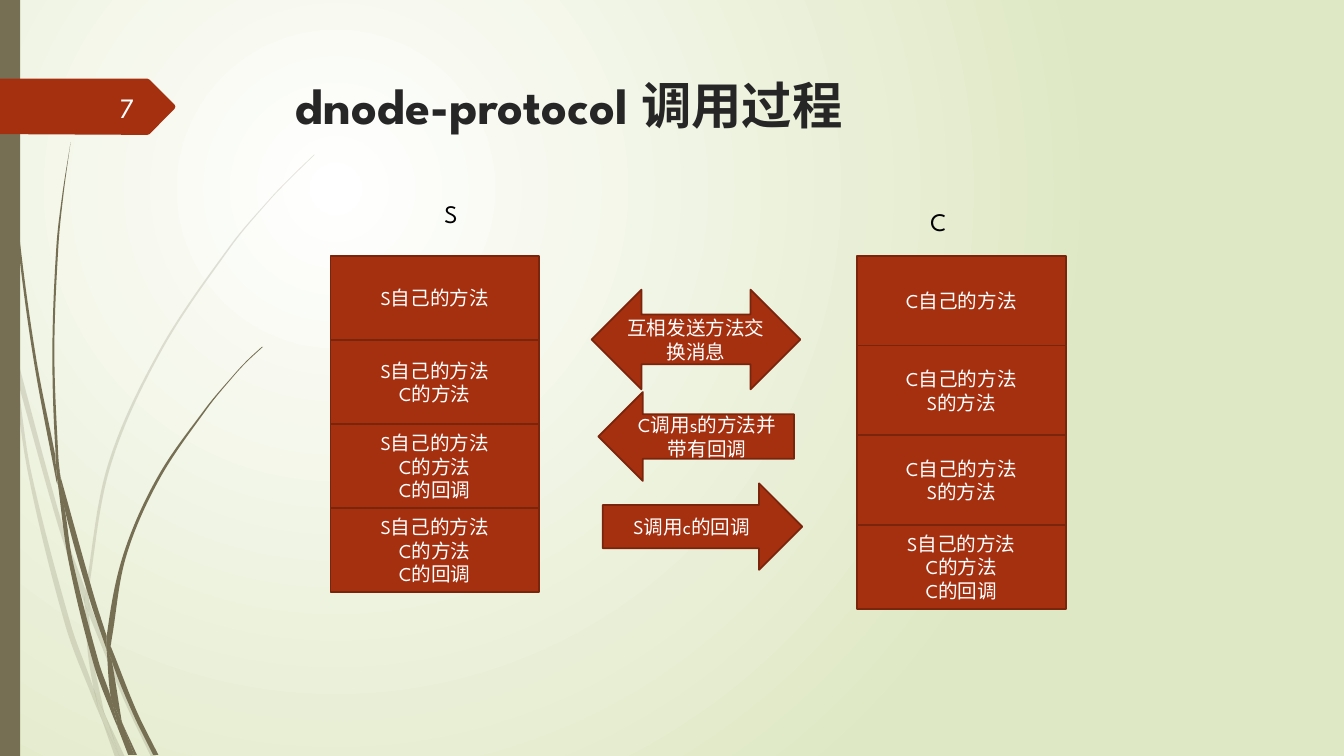
from math import dist

from pptx import Presentation
from pptx.dml.color import RGBColor
from pptx.enum.shapes import MSO_SHAPE as Preset
from pptx.enum.text import MSO_ANCHOR as Anchor, MSO_AUTO_SIZE as AutoSize, PP_ALIGN as Align
from pptx.oxml import parse_xml
from pptx.oxml.ns import nsdecls, qn
from pptx.util import Cm, Pt

FONT = "League Spartan"
RED = RGBColor(0xA5, 0x30, 0x10)
DARK_RED = RGBColor(0x7A, 0x24, 0x0C)
OLIVE = RGBColor(0x76, 0x6F, 0x54)
PALE_GREEN = RGBColor(0xDF, 0xE8, 0xC4)
WHITE = RGBColor(0xFF, 0xFF, 0xFF)
BLACK = RGBColor(0, 0, 0)
CHARCOAL = RGBColor(0x26, 0x26, 0x26)

FAINT_BLADES = [
    ([(.28, 8.89), (.23, 8.18), (0, 7.16)], [(0, 7.59), (.25, 8.74), (.28, 8.89)]),
    ([(2.16, 14.88), (1.57, 13.21), (.36, 8.76)], [(.43, 9.55), (1.47, 13.26), (2.13, 15.21)]),
    ([(2.24, 15.49), (3.12, 17.63), (3.81, 19.08)],
     [(3.94, 19.08), (3.23, 17.58), (2.34, 15.42), (2.24, 15.14)]),
    ([(2.67, 18.06), (3.02, 19.08)], [(3.15, 19.08), (2.67, 18.06)]),
    ([(.28, 8.89), (.71, 11.94), (1.65, 15.77), (2.34, 17.6), (2.57, 18.14)],
     [(2.51, 17.96), (2.36, 17.35), (1.78, 15.72), (.79, 11.91), (.43, 9.55), (.28, 8.89)]),
    ([(2.13, 15.21), (2.21, 16.41), (2.36, 17.35), (2.44, 17.58), (2.67, 18.06)],
     [(2.62, 17.93), (2.31, 16.41), (2.24, 15.49), (2.13, 15.21)]),
    ([(7.92, 3.89), (7.34, 4.45), (6.81, 5), (5.79, 6.2), (4.01, 8.84), (2.72, 11.71),
      (2.16, 14.83), (2.16, 14.88)],
     [(2.24, 15.14), (2.24, 14.83), (2.79, 11.73), (4.06, 8.86), (5.82, 6.22), (6.81, 5.03),
      (7.37, 4.45), (7.92, 3.91)]),
    ([(2.57, 18.14), (2.9, 19.08)], [(3.02, 19.08), (2.57, 18.14)]),
    ([(2.16, 14.88), (2.13, 15.21), (2.24, 15.44)], [(2.24, 15.5), (2.24, 15.14), (2.16, 14.88)]),
    ([(2.36, 17.35), (2.51, 17.96), (2.57, 18.14), (3.02, 19.08)],
     [(3.02, 19.08), (2.67, 18.06), (2.44, 17.58), (2.36, 17.35)]),
]
SOLID_BLADES = [
    ([(.08, 0), (.1, 1.22), (.18, 2.79), (.43, 5.92), (.84, 9.02), (1.42, 12.12), (1.45, 12.22)],
     [(1.4, 11.61), (1.4, 11.51), (.91, 9.02), (.48, 5.89), (.2, 2.77), (.13, 1.22), (.1, 0)]),
    ([(1.52, 11.99), (1.63, 12.83), (2.24, 15.04), (2.69, 16.38)],
     [(2.69, 16.03), (2.36, 14.99), (1.52, 11.99)]),
    ([(2.79, 16.28), (2.82, 16.66), (3.35, 17.98), (3.86, 19.02)],
     [(3.99, 19.02), (3.45, 17.93), (2.87, 16.48), (2.79, 16.28)]),
    ([(1.45, 12.12), (1.73, 14.15), (2.36, 16.74), (2.82, 17.98), (2.97, 18.34)],
     [(2.95, 18.21), (2.79, 17.55), (2.49, 16.69), (1.83, 14.12), (1.63, 12.83), (1.45, 12.12)]),
    ([(1.78, 3.58), (1.57, 4.9), (1.42, 6.22), (1.32, 8.86), (1.4, 11.4), (1.52, 11.99)],
     [(1.52, 11.99), (1.47, 11.51), (1.37, 8.86), (1.47, 6.22), (1.6, 4.9), (1.78, 3.58)]),
    ([(3.1, 18.26), (3.38, 19.02)], [(3.45, 19.02), (3.1, 18.26)]),
    ([(1.4, 11.4), (1.4, 11.51), (1.45, 12.12), (1.63, 12.83)], [(1.52, 11.99), (1.4, 11.4)]),
    ([(6.6, 8.74), (6.22, 9.09), (5.87, 9.47), (5.18, 10.29), (3.96, 12.04), (3.1, 14),
      (2.69, 16.03), (2.79, 16.28)],
     [(2.82, 16.08), (3.18, 14.02), (4.01, 12.09), (5.21, 10.31), (5.87, 9.5), (6.22, 9.12),
      (6.63, 8.74)]),
    ([(2.97, 18.34), (3.23, 19.02)], [(3.33, 19.02), (2.97, 18.34)]),
    ([(2.69, 16.38), (2.79, 17.55), (2.95, 17.93), (3.1, 18.26)],
     [(3.07, 18.19), (2.82, 16.66), (2.77, 16.54), (2.69, 16.38)]),
    ([(2.69, 16.03), (2.69, 16.38), (2.77, 16.54), (2.82, 16.66)], [(2.79, 16.28), (2.69, 16.03)]),
    ([(2.79, 17.55), (2.95, 18.21), (2.97, 18.34), (3.3, 19.02)],
     [(3.38, 19.02), (3.1, 18.26), (2.95, 17.93), (2.79, 17.55)]),
]
TAG = [(0, 1.98), (3.71, 1.98), (3.77, 2.01), (4.4, 2.64), (4.42, 2.69), (4.4, 2.74),
       (3.77, 3.38), (3.71, 3.4), (0, 3.38)]

OWN_S, OWN_C = "S自己的方法", "C自己的方法"
FROM_S, FROM_C, CALLBACK = "S的方法", "C的方法", "C的回调"
S_STATES = [[OWN_S], [OWN_S, FROM_C]] + [[OWN_S, FROM_C, CALLBACK]] * 2
C_STATES = [[OWN_C], [OWN_C, FROM_S], [OWN_C, FROM_S], [OWN_S, FROM_C, CALLBACK]]
ARROWS = [
    (Preset.LEFT_RIGHT_ARROW, 14.91, 7.3, 5.26, 2.51, "互相发送方法交换消息"),
    (Preset.LEFT_ARROW, 15.08, 9.88, 4.93, 2.24, "C调用s的方法并带有回调"),
    (Preset.RIGHT_ARROW, 15.19, 12.18, 5.03, 2.18, "S调用c的回调"),
]


def write(box, lines, size=14, color=WHITE, bold=None, align=Align.CENTER,
          anchor=Anchor.MIDDLE, wrap=True):
    """Fill a shape with one formatted paragraph per line."""
    frame = box.text_frame
    frame.word_wrap, frame.vertical_anchor = wrap, anchor
    frame.text = "\n".join(lines)
    for para in frame.paragraphs:
        para.alignment = align
        for span in para.runs:
            span.font.name, span.font.size = FONT, Pt(size)
            span.font.color.rgb, span.font.bold = color, bold


def paint(shape, fill, line=None):
    """Give a shape a flat fill and an optional outline."""
    shape.shadow.inherit = False
    shape.fill.solid()
    shape.fill.fore_color.rgb = fill
    if line is None:
        shape.line.fill.background()
    else:
        shape.line.color.rgb, shape.line.width = line, Pt(1.25)


def add_block(page, preset, left, top, width, height, fill=RED, line=None):
    """Add a painted preset shape placed in centimetres."""
    shape = page.shapes.add_shape(preset, Cm(left), Cm(top), Cm(width), Cm(height))
    paint(shape, fill, line)
    return shape


def add_label(page, text, left, top, width, height, **style):
    """Add a text box placed in centimetres."""
    box = page.shapes.add_textbox(Cm(left), Cm(top), Cm(width), Cm(height))
    write(box, [text], **style)


def add_outline(parent, points, fill):
    """Add a closed freeform through points in centimetres."""
    corners = [(Cm(x), Cm(y)) for x, y in points]
    builder = parent.shapes.build_freeform(*corners[0])
    builder.add_line_segments(corners[1:])
    shape = builder.convert_to_shape()
    paint(shape, fill)
    return shape


def set_background(page):
    """Paint a circular glow behind the slide."""
    fill = page.background.fill
    fill.gradient()
    for stop, color, position in zip(fill.gradient_stops, (WHITE, PALE_GREEN), (0, 1)):
        stop.color.rgb, stop.position = color, position
    gradient = page.background._cSld.find(".//" + qn("a:gradFill"))
    glow = parse_xml(f'<a:path {nsdecls("a")} path="circle"><a:fillToRect '
                     'l="50000" t="50000" r="100000" b="100000"/></a:path>')
    gradient.replace(gradient.find(qn("a:lin")), glow)


def handle(before, knot, after, reach):
    """Return the control point that leaves a knot along its tangent."""
    scale = reach / 3 / (dist(before, after) or 1)
    return tuple(k + (a - b) * scale for b, k, a in zip(before, knot, after))


def smooth_side(knots):
    """List control and end points of the cubic curves through the knots."""
    padded = [knots[0], *knots, knots[-1]]
    curve = []
    for before, start, end, after in zip(padded, padded[1:], padded[2:], padded[3:]):
        reach = dist(start, end)
        curve += [handle(before, start, end, reach), handle(after, end, start, reach), end]
    return curve


def add_blade(group, first, second, alpha=None):
    """Draw a piece of grass between two curved sides."""
    join = [first[-1], second[0], second[0]]
    points = [first[0], *smooth_side(first), *join, *smooth_side(second)]
    blade = add_outline(group, points, OLIVE)
    segments = list(blade._element.iter(qn("a:lnTo")))
    for index in range(0, len(points) - 1, 3):
        curve = parse_xml(f'<a:cubicBezTo {nsdecls("a")}/>')
        segments[index].addprevious(curve)
        for segment in segments[index:index + 3]:
            curve.append(segment[0])
            segment.getparent().remove(segment)
    if alpha:
        color = blade._element.spPr.find(".//" + qn("a:srgbClr"))
        color.append(parse_xml(f'<a:alpha {nsdecls("a")} val="{alpha * 1000}"/>'))


def add_column(page, left, pitch, states):
    """Stack the method lists that one side holds at each stage."""
    for row, lines in enumerate(states):
        height = 2.11 if row == len(states) - 1 else pitch
        block = add_block(page, Preset.RECTANGLE, left, 6.45 + row * pitch,
                          5.26, height, line=DARK_RED)
        write(block, lines)


def add_title(page, text):
    """Place and format the title placeholder."""
    title = page.shapes.title
    title.left, title.top, title.width, title.height = Cm(7.2), Cm(1.73), Cm(24.77), Cm(3.56)
    write(title, [text], size=36, color=CHARCOAL, bold=True,
          align=Align.LEFT, anchor=Anchor.TOP)
    title.text_frame.auto_size = AutoSize.NONE


def main():
    """Build the slide about the call sequence."""
    deck = Presentation()
    deck.slide_width, deck.slide_height = Cm(33.87), Cm(19.05)
    page = deck.slides.add_slide(deck.slide_layouts[5])
    set_background(page)
    for blades, alpha in ((FAINT_BLADES, 20), (SOLID_BLADES, None)):
        tuft = page.shapes.add_group_shape()
        for first, second in blades:
            add_blade(tuft, first, second, alpha)
    add_block(page, Preset.RECTANGLE, 0, 0, .51, 19.05, fill=OLIVE)
    add_outline(page, TAG, RED)
    add_label(page, "7", 1.47, 2.19, 2.16, 1.02, size=20, align=Align.RIGHT)
    add_title(page, "dnode-protocol 调用过程")
    side = dict(size=18, color=BLACK, align=Align.LEFT, anchor=Anchor.TOP, wrap=False)
    add_label(page, "S", 10.95, 4.88, .84, 1.02, **side)
    add_label(page, "C", 23.2, 5.08, 1.04, 1.02, **side)
    add_column(page, 8.33, 2.12, S_STATES)
    add_column(page, 21.6, 2.26, C_STATES)
    for preset, left, top, width, height, text in ARROWS:
        write(add_block(page, preset, left, top, width, height, line=DARK_RED), [text])
    deck.save("out.pptx")


main()
